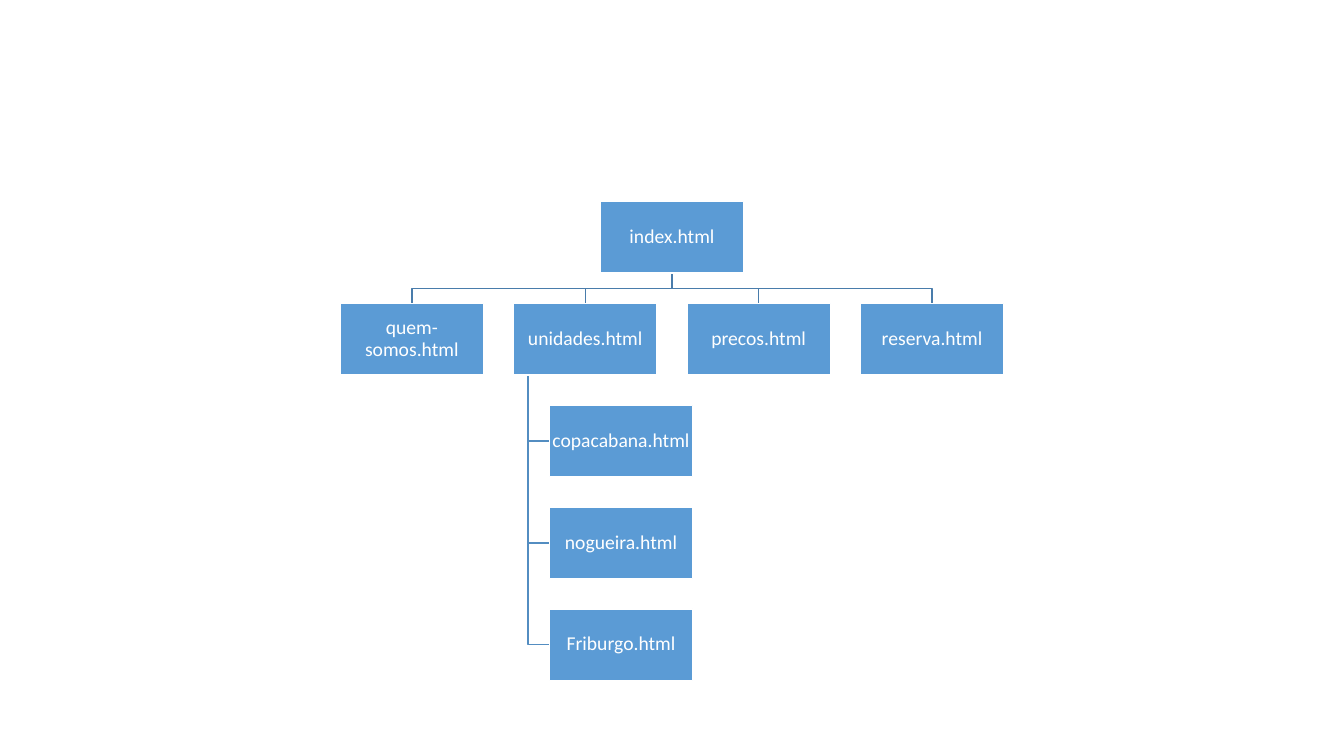
from pptx import Presentation
from pptx.dml.color import RGBColor
from pptx.enum.shapes import MSO_SHAPE as Preset
from pptx.enum.text import MSO_ANCHOR as Anchor, PP_ALIGN as Align
from pptx.util import Inches, Pt

SLIDE_WIDTH, SLIDE_HEIGHT = 13.33, 7.5
CENTER, TOP = SLIDE_WIDTH / 2, 2
BOX_WIDTH, BOX_HEIGHT = 1.42, 0.71
COLUMN_STEP, ROW_STEP = 1.72, 1.01
HOME_COLUMN, UNITS_COLUMN = 1.5, 1
SUBPAGE_COLUMN = UNITS_COLUMN + BOX_WIDTH / 4 / COLUMN_STEP

HOME = "index.html"
SECTIONS = ["quem-somos.html", "unidades.html", "precos.html", "reserva.html"]
SUBPAGES = ["copacabana.html", "nogueira.html", "Friburgo.html"]


def color(value):
    """Return the colour for a hex string."""
    return RGBColor.from_string(value)


def column_center(column):
    """Return the horizontal centre of a grid column in inches."""
    return CENTER + (column - HOME_COLUMN) * COLUMN_STEP


def row_top(row):
    """Return the top edge of a grid row in inches."""
    return TOP + row * ROW_STEP


def write_text(shape, text, font="Calibri", size=14, text_color="FFFFFF"):
    """Write centred, wrapped text into a shape."""
    frame = shape.text_frame
    frame.word_wrap = True
    frame.vertical_anchor = Anchor.MIDDLE
    frame.margin_left = frame.margin_right = Inches(0.01)
    frame.margin_top = frame.margin_bottom = Inches(0.01)
    paragraph = frame.paragraphs[0]
    paragraph.alignment = Align.CENTER
    paragraph.line_spacing = 0.9
    run = paragraph.add_run()
    run.text = text
    run.font.name = font
    run.font.size = Pt(size)
    run.font.color.rgb = color(text_color)


def add_page(slide, text, column, row):
    """Add a page box at a grid position."""
    left = column_center(column) - BOX_WIDTH / 2
    shape = slide.shapes.add_shape(
        Preset.RECTANGLE, Inches(left), Inches(row_top(row)),
        Inches(BOX_WIDTH), Inches(BOX_HEIGHT))
    shape.shadow.inherit = False
    shape.fill.solid()
    shape.fill.fore_color.rgb = color("5B9BD5")
    shape.line.color.rgb = color("FFFFFF")
    shape.line.width = Pt(1)
    write_text(shape, text)


def add_branch(slide, points, line_color):
    """Add an open angled line through points given in inches."""
    start, *others = [(Inches(x), Inches(y)) for x, y in points]
    builder = slide.shapes.build_freeform(*start)
    builder.add_line_segments(others, close=False)
    shape = builder.convert_to_shape()
    shape.shadow.inherit = False
    shape.fill.background()
    shape.line.color.rgb = color(line_color)
    shape.line.width = Pt(1)


def add_section_branch(slide, column):
    """Join the home page to a section below it."""
    start, end = row_top(0) + BOX_HEIGHT, row_top(1)
    middle, target = (start + end) / 2, column_center(column)
    add_branch(slide, [(CENTER, start), (CENTER, middle),
                       (target, middle), (target, end)], "497CAB")


def add_subpage_branch(slide, row):
    """Join the units section to a subpage beside its trunk."""
    trunk = column_center(UNITS_COLUMN) - 0.4 * BOX_WIDTH
    target = column_center(SUBPAGE_COLUMN) - BOX_WIDTH / 2
    middle = row_top(row) + BOX_HEIGHT / 2
    add_branch(slide, [(trunk, row_top(1) + BOX_HEIGHT),
                       (trunk, middle), (target, middle)], "538DC1")


def main():
    """Build the site map slide."""
    presentation = Presentation()
    presentation.slide_width = Inches(SLIDE_WIDTH)
    presentation.slide_height = Inches(SLIDE_HEIGHT)
    slide = presentation.slides.add_slide(presentation.slide_layouts[6])
    for column in range(len(SECTIONS)):
        add_section_branch(slide, column)
    for row in range(2, 2 + len(SUBPAGES)):
        add_subpage_branch(slide, row)
    add_page(slide, HOME, HOME_COLUMN, 0)
    for column, text in enumerate(SECTIONS):
        add_page(slide, text, column, 1)
    for row, text in enumerate(SUBPAGES, start=2):
        add_page(slide, text, SUBPAGE_COLUMN, row)
    presentation.save("out.pptx")


main()
